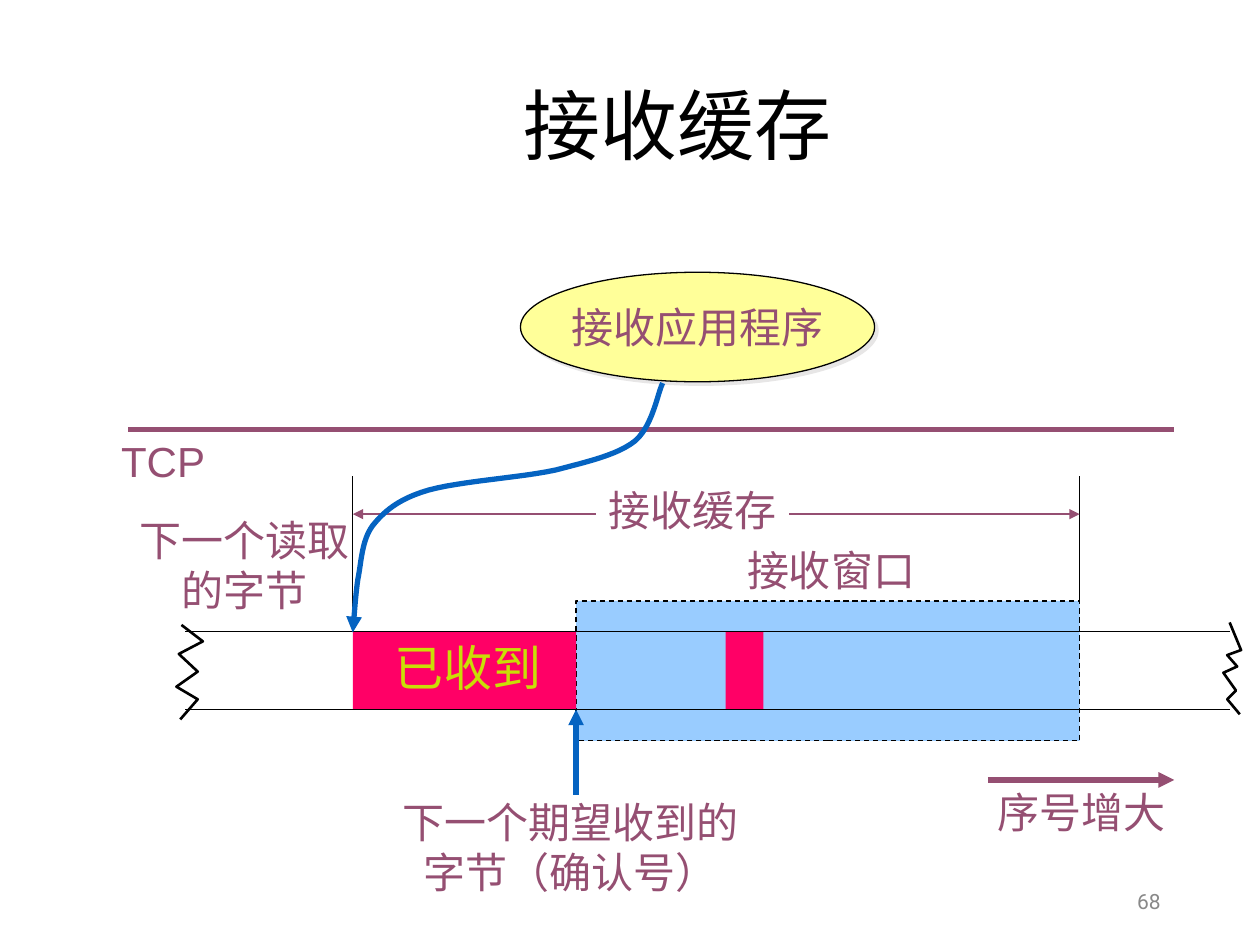
"""Build a slide explaining the TCP receive buffer and receive window."""
from dataclasses import dataclass

from lxml import etree
from pptx import Presentation
from pptx.dml.color import RGBColor
from pptx.enum.dml import MSO_LINE
from pptx.enum.shapes import MSO_CONNECTOR, MSO_SHAPE
from pptx.enum.text import MSO_ANCHOR, MSO_AUTO_SIZE, PP_ALIGN
from pptx.oxml.ns import qn
from pptx.util import Pt

RECT, OVAL = MSO_SHAPE.RECTANGLE, MSO_SHAPE.OVAL
STRAIGHT, DASH = MSO_CONNECTOR.STRAIGHT, MSO_LINE.DASH
LEFT, CENTER, RIGHT = PP_ALIGN.LEFT, PP_ALIGN.CENTER, PP_ALIGN.RIGHT
TOP, MIDDLE = MSO_ANCHOR.TOP, MSO_ANCHOR.MIDDLE


@dataclass(frozen=True)
class Theme:
    ink: str = "000000"
    plum: str = "954F72"
    blue: str = "0563C1"
    window: str = "99CCFF"
    app: str = "FFFF99"
    received: str = "FF0066"
    lime: str = "C9DE06"
    shade: str = "E7E6E6"
    paper: str = "FFFFFF"
    gray: str = "898989"
    title_font: str = "Calibri"
    label_font: str = "Arial"
    number_font: str = "Roboto"
    title_size: float = 44
    received_size: float = 28
    label_size: float = 24
    number_size: float = 12
    thin: float = 0.75
    medium: float = 1.5
    thick: float = 3


THEME = Theme()
BUFFER_LEFT, WINDOW_LEFT, BUFFER_RIGHT = 201.6, 329.2, 617
STRIP_LEFT, STRIP_RIGHT, STRIP_TOP, STRIP_BOTTOM = 105.8, 702.7, 360.8, 405.4
WINDOW_TOP, WINDOW_BOTTOM = 343.4, 423.4
MARK_TOP, DIMENSION_Y = 272.2, 293.8
TCP_Y, SEQUENCE_Y = 245.5, 445.7

TITLE = ("接收缓存", (90.7, 16.6, 592.6, 115.2))
APPLICATION = ("接收应用程序", (297.4, 155.6, 202.4, 62.6))
RECEIVED = ("已收到", (218.2, 360.7, 98.6, 41))
PAGE_NUMBER = ("68", (508.3, 500.4, 162, 28.8))
BUFFER_LABEL = ("接收缓存", (340.6, 273.6, 110.2, 36))
LABELS = [
    ("接收窗口", (419.8, 307.4, 110.2, 36), LEFT),
    ("TCP", (61.9, 245.5, 62.6, 36), CENTER),
    ("下一个读取\n的字节", (72.7, 290.2, 134.6, 64.8), CENTER),
    ("序号增大", (563, 445.7, 110.2, 36), CENTER),
    ("下一个期望收到的\n字节（确认号）", (222.5, 451.4, 206.6, 64.8), CENTER),
]
RECEIVED_BYTES = [(BUFFER_LEFT, WINDOW_LEFT), (414.7, 436.3)]
LINES = [
    ((73.4, TCP_Y), (671, TCP_Y), THEME.plum, THEME.thick, ()),
    ((STRIP_LEFT, STRIP_TOP), (STRIP_RIGHT, STRIP_TOP), THEME.ink, THEME.thin, ()),
    ((STRIP_LEFT, STRIP_BOTTOM), (STRIP_RIGHT, STRIP_BOTTOM), THEME.ink, THEME.thin, ()),
    ((BUFFER_LEFT, MARK_TOP), (BUFFER_LEFT, STRIP_TOP), THEME.ink, THEME.thin, ()),
    ((BUFFER_RIGHT, MARK_TOP), (BUFFER_RIGHT, WINDOW_TOP), THEME.ink, THEME.thin, ()),
    ((BUFFER_LEFT, DIMENSION_Y), (BUFFER_RIGHT, DIMENSION_Y), THEME.plum, THEME.thin,
     ("headEnd", "tailEnd")),
    ((564.5, SEQUENCE_Y), (671, SEQUENCE_Y), THEME.plum, THEME.thick, ("tailEnd",)),
    ((WINDOW_LEFT, 454.3), (WINDOW_LEFT, STRIP_BOTTOM), THEME.blue, THEME.thick, ("tailEnd",)),
]
READ_START = (378.7, 218.9)
READ_CURVES = [
    ((375.8, 224.6), (373, 243.4), (362.9, 252)),
    ((352.8, 259.9), (337, 263.5), (317.5, 268.6)),
    ((298.1, 272.9), (262.8, 275), (244.8, 280.1)),
    ((227.5, 285.1), (219.6, 292.3), (213.1, 300.2)),
    ((206.6, 308.9), (206.6, 321.1), (204.5, 331.2)),
    ((203, 341.3), (202.3, 355), (201.6, 361.4)),
]
TEARS = [
    [(702.7, 355.7), (709.2, 371.5), (701.3, 374.4), (707, 380.9),
     (699.1, 384.5), (706.3, 394.6), (701.3, 399.6), (708.5, 408.2)],
    [(103.7, 357.1), (115.9, 366.5), (102.2, 373.7), (113, 383.8),
     (100.8, 392.4), (113, 399.6), (103, 411.1)],
]


def color(value):
    return RGBColor.from_string(value)


def write(shape, text, size, ink, font=THEME.label_font, align=CENTER, anchor=TOP, wrap=False):
    frame = shape.text_frame
    frame.text = text
    frame.word_wrap = wrap
    frame.auto_size = MSO_AUTO_SIZE.NONE
    frame.vertical_anchor = anchor
    for paragraph in frame.paragraphs:
        paragraph.alignment = align
        for run in paragraph.runs:
            run.font.size, run.font.name = Pt(size), font
            run.font.color.rgb = color(ink)
    return frame


def add_box(slide, kind, box, fill, outlined=False):
    shape = slide.shapes.add_shape(kind, *map(Pt, box))
    shape.shadow.inherit = False
    shape.fill.solid()
    shape.fill.fore_color.rgb = color(fill)
    if outlined:
        shape.line.color.rgb = color(THEME.ink)
        shape.line.width = Pt(THEME.thin)
    else:
        shape.line.fill.background()
    return shape


def add_text(slide, text, box, size, ink, **style):
    return write(slide.shapes.add_textbox(*map(Pt, box)), text, size, ink, **style)


def add_shadow(effects, tint, distance):
    shadow = etree.SubElement(effects, qn("a:outerShdw"), dist=str(Pt(distance)),
                              dir="2700000", algn="ctr", rotWithShape="0")
    etree.SubElement(shadow, qn("a:srgbClr"), val=tint)


def style_line(shape, ink, width, ends=()):
    shape.line.color.rgb = color(ink)
    shape.line.width = Pt(width)
    outline = shape.line.color and shape.element.spPr.find(qn("a:ln"))
    for end in ends:
        etree.SubElement(outline, qn(f"a:{end}"), type="triangle")


def add_line(slide, start, stop, ink, width, ends):
    line = slide.shapes.add_connector(STRAIGHT, *map(Pt, start + stop))
    etree.SubElement(line.element.spPr, qn("a:effectLst"))
    style_line(line, ink, width, ends)


def add_path(slide, points, ink, width, ends=()):
    corners = [tuple(map(Pt, point)) for point in points]
    builder = slide.shapes.build_freeform(*corners[0])
    builder.add_line_segments(corners[1:], close=False)
    path = builder.convert_to_shape()
    path.shadow.inherit = False
    path.fill.background()
    style_line(path, ink, width, ends)


def curve_points(start, curves, steps=12):
    points = [start]
    for first, second, stop in curves:
        for step in range(1, steps + 1):
            t = step / steps
            weights = ((1 - t) ** 3, 3 * t * (1 - t) ** 2, 3 * t * t * (1 - t), t ** 3)
            knots = (start, first, second, stop)
            points.append(tuple(sum(w * knot[axis] for w, knot in zip(weights, knots))
                                for axis in (0, 1)))
        start = stop
    return points


def main():
    deck = Presentation()
    deck.slide_width, deck.slide_height = Pt(720), Pt(540)
    slide = deck.slides.add_slide(deck.slide_layouts[5])

    text, box = TITLE
    title = slide.shapes.title
    title.left, title.top, title.width, title.height = map(Pt, box)
    heading = write(title, text, THEME.title_size, THEME.ink, THEME.title_font,
                    anchor=MIDDLE, wrap=True)
    heading.paragraphs[0].line_spacing = 0.9

    window = add_box(slide, RECT, (WINDOW_LEFT, WINDOW_TOP, BUFFER_RIGHT - WINDOW_LEFT,
                                   WINDOW_BOTTOM - WINDOW_TOP), THEME.window, True)
    window.line.dash_style = DASH
    text, box = APPLICATION
    application = add_box(slide, OVAL, box, THEME.app, True)
    add_shadow(application.element.spPr.find(qn("a:effectLst")), THEME.shade, 2.8)
    write(application, text, THEME.label_size, THEME.plum, anchor=MIDDLE)

    for left, right in RECEIVED_BYTES:
        add_box(slide, RECT, (left, STRIP_TOP, right - left, STRIP_BOTTOM - STRIP_TOP),
                THEME.received)
    for line in LINES:
        add_line(slide, *line)
    text, box = BUFFER_LABEL
    write(add_box(slide, RECT, box, THEME.paper), text, THEME.label_size, THEME.plum, align=LEFT)
    add_path(slide, curve_points(READ_START, READ_CURVES), THEME.blue, THEME.thick, ("tailEnd",))
    for tear in TEARS:
        add_path(slide, tear, THEME.ink, THEME.medium)

    received = add_text(slide, *RECEIVED, THEME.received_size, THEME.lime, align=LEFT)
    fill = received.paragraphs[0].runs[0].font.fill._xPr.find(qn("a:solidFill"))
    effects = etree.Element(qn("a:effectLst"))
    fill.addnext(effects)
    add_shadow(effects, THEME.shade, 2)
    for text, box, align in LABELS:
        add_text(slide, text, box, THEME.label_size, THEME.plum, align=align)
    add_text(slide, *PAGE_NUMBER, THEME.number_size, THEME.gray, font=THEME.number_font,
             align=RIGHT, anchor=MIDDLE, wrap=True)
    deck.save("out.pptx")


if __name__ == "__main__":
    main()
